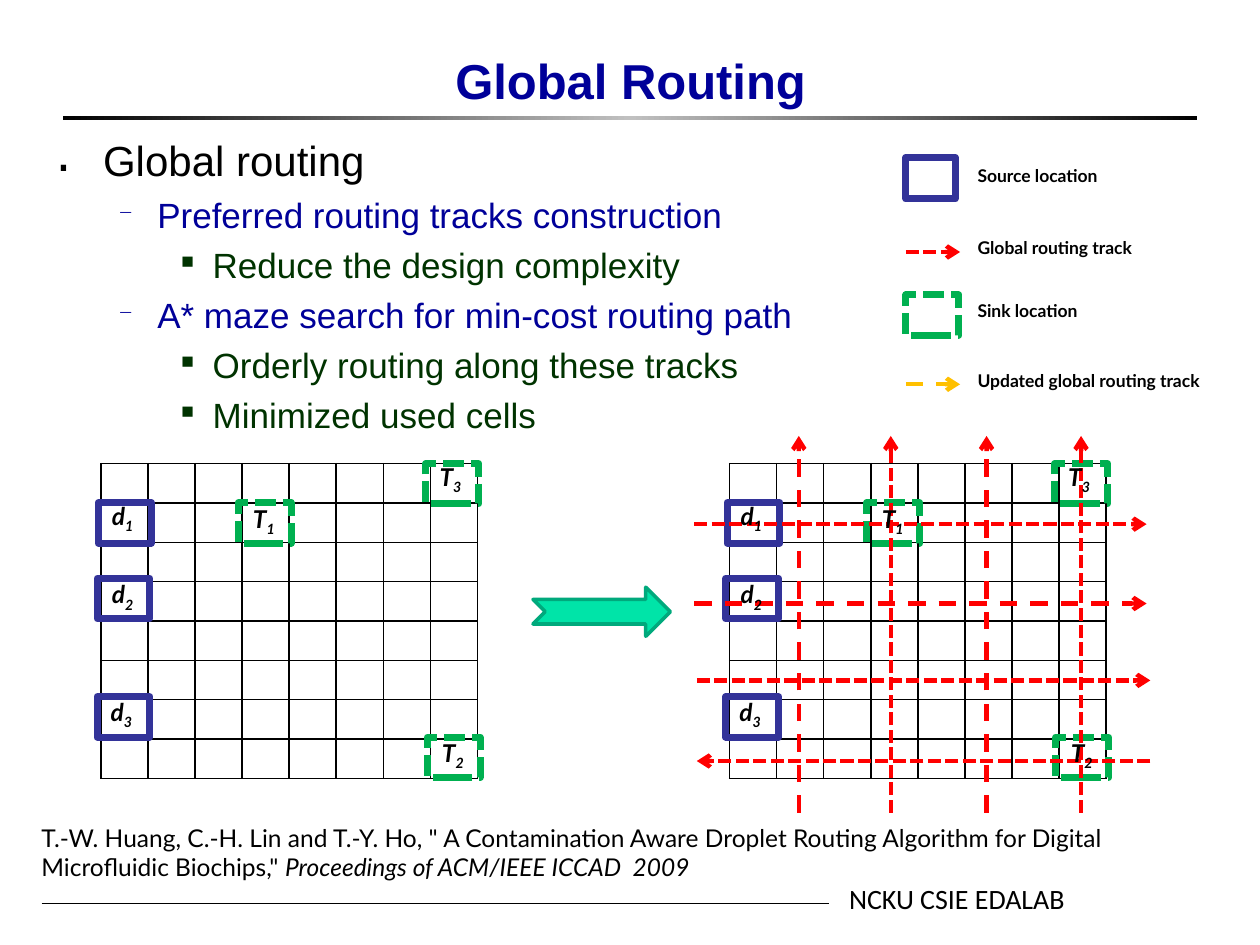
import copy

import lxml.etree
import pptx
import pptx.dml.color
import pptx.enum.dml
import pptx.enum.shapes
import pptx.enum.text
import pptx.oxml
import pptx.oxml.ns
import pptx.util

Inches = pptx.util.Inches
Pt = pptx.util.Pt
qn = pptx.oxml.ns.qn
color = pptx.dml.color.RGBColor.from_string
SHAPE = pptx.enum.shapes.MSO_SHAPE
DASH = pptx.enum.dml.MSO_LINE
ALIGN = pptx.enum.text.PP_ALIGN
STRAIGHT = pptx.enum.shapes.MSO_CONNECTOR.STRAIGHT

BLACK, WHITE, RED, AMBER = "000000", "FFFFFF", "FF0000", "FFC000"
BLUE, GREEN = "333399", "00B050"
TITLE_BLUE, DETAIL_GREEN = "000099", "003300"


def add_text(shapes, place, spans):
    """Add a wrapping text box with one paragraph; spans are (text, font values, subscript)."""
    box = shapes.add_textbox(*[Inches(value) for value in place])
    box.text_frame.word_wrap = True
    box.text_frame.auto_size = pptx.enum.text.MSO_AUTO_SIZE.SHAPE_TO_FIT_TEXT
    for text, values, subscript in spans:
        span = box.text_frame.paragraphs[0].add_run()
        span.text = text
        span.font.color.rgb = color(BLACK)
        for name, value in values.items():
            setattr(span.font, name, value)
        if subscript:
            span._r.get_or_add_rPr().set("baseline", "-25000")
    return box


def add_arrow(shapes, start, end, line_color, width, dash=None):
    """Add a straight line; dashed ones carry an arrowhead at their end."""
    line = shapes.add_connector(STRAIGHT, *[Inches(value) for value in start + end])
    line.line.color.rgb = color(line_color)
    line.line.width = Pt(width)
    if dash:
        line.line.dash_style = dash
        lxml.etree.SubElement(line.line._get_or_add_ln(), qn("a:tailEnd"), type="arrow")
    lxml.etree.SubElement(line._element.spPr, qn("a:effectLst"))


deck = pptx.Presentation()
deck.slide_width, deck.slide_height = Inches(10), Inches(7.5)
page = deck.slides.add_slide(deck.slide_layouts[6])

# Title rule and footer
rule = page.shapes.add_shape(SHAPE.RECTANGLE, Inches(0.5), Inches(0.92), Inches(9), Inches(0.03))
rule.shadow.inherit = False
rule.line.fill.background()
rule.fill.gradient()
rule.fill.gradient_angle = 0
stop_list = rule._element.spPr.find(qn("a:gradFill")).find(qn("a:gsLst"))
stop_list.insert(1, copy.deepcopy(stop_list[0]))
for stop, position, shade in zip(rule.fill.gradient_stops, (0, 0.5, 1), (BLACK, "C0C0C0", BLACK)):
    stop.position = position
    stop.color.rgb = color(shade)

add_arrow(page.shapes, (0.33, 7.17), (6.58, 7.17), BLACK, 0.5)
add_text(page.shapes, (6.64, 6.95, 2.19, 0.37),
         [("NCKU CSIE EDALAB", {"size": Pt(16), "name": "Calibri"}, False)])

# Title
title = add_text(page.shapes, (0.55, 0, 8.91, 0.92),
                 [("Global Routing", {"size": Pt(28), "name": "Arial", "bold": True}, False)])
title.text_frame.auto_size = pptx.enum.text.MSO_AUTO_SIZE.NONE
title.text_frame.vertical_anchor = pptx.enum.text.MSO_ANCHOR.BOTTOM
title.text_frame.paragraphs[0].alignment = ALIGN.CENTER
title.text_frame.paragraphs[0].runs[0].font.color.rgb = color(TITLE_BLUE)

# Outline: size, colour, left margin, hanging indent, bullet, bullet percent per level
levels = [
    (24, BLACK, 0.38, 0.38, "․", 120),
    (20, TITLE_BLUE, 0.81, 0.31, "─", 55),
    (20, DETAIL_GREEN, 1.25, 0.25, "■", 50),
]
outline = [
    (0, "Global routing"),
    (1, "Preferred routing tracks construction"),
    (2, "Reduce the design complexity"),
    (1, "A* maze search for min-cost routing path"),
    (2, "Orderly routing along these tracks"),
    (2, "Minimized used cells"),
]
body = page.shapes.add_textbox(Inches(0.34), Inches(1.02), Inches(6.54), Inches(5.81))
body.text_frame.word_wrap = True
for index, (level, text) in enumerate(outline):
    size, shade, margin, hanging, bullet, percent = levels[level]
    para = body.text_frame.add_paragraph() if index else body.text_frame.paragraphs[0]
    para.level = level
    para.alignment = ALIGN.JUSTIFY
    para.space_before = Pt(size * 0.23)
    span = para.add_run()
    span.text = text
    span.font.size, span.font.name = Pt(size), "Arial"
    span.font.color.rgb = color(shade)
    properties = para._p.get_or_add_pPr()
    properties.set("marL", str(Inches(margin)))
    properties.set("indent", str(-Inches(hanging)))
    bullet_color = lxml.etree.SubElement(properties, qn("a:buClr"))
    lxml.etree.SubElement(bullet_color, qn("a:srgbClr"), val=shade)
    lxml.etree.SubElement(properties, qn("a:buSzPct"), val=str(percent * 1000))
    lxml.etree.SubElement(properties, qn("a:buChar"), char=bullet)

# Routing grids, before and after the tracks are laid
GRID_SIZE = 8
grid_lefts = (0.8, 5.79)
shift = grid_lefts[1] - grid_lefts[0]
for left in grid_lefts:
    frame = page.shapes.add_table(GRID_SIZE, GRID_SIZE, Inches(left), Inches(3.68),
                                  Inches(2.99), Inches(2.5))
    grid = frame.table
    grid.first_row = grid.horz_banding = False
    for cell in grid.iter_cells():
        cell.margin_left = cell.margin_right = cell.margin_top = cell.margin_bottom = 0
        cell.fill.solid()
        cell.fill.fore_color.rgb = color(WHITE)
        lxml.etree.SubElement(cell.text_frame.paragraphs[0]._p, qn("a:endParaRPr"), sz="800")
        for order, side in enumerate(("lnL", "lnR", "lnT", "lnB")):
            border = lxml.etree.Element(qn("a:" + side), w=str(Pt(1)))
            fill = lxml.etree.SubElement(border, qn("a:solidFill"))
            lxml.etree.SubElement(fill, qn("a:srgbClr"), val=BLACK)
            cell._tc.get_or_add_tcPr().insert(order, border)

# Sources and sinks on both grids: letter, number, marker corner, label corner
pins = [
    ("T", "2", (3.39, 5.85), (3.41, 5.81)),
    ("T", "3", (3.38, 3.68), (3.39, 3.62)),
    ("d", "2", (0.77, 4.59), (0.79, 4.55)),
    ("d", "3", (0.77, 5.53), (0.78, 5.48)),
    ("d", "1", (0.78, 3.99), (0.79, 3.93)),
    ("T", "1", (1.89, 3.99), (1.91, 3.95)),
]
legend = page.shapes.add_group_shape().shapes
markers = [(page.shapes, letter, x + offset, y, 0.42, 0.32)
           for offset in (0, shift) for letter, number, (x, y), corner in pins]
markers += [(legend, "d", 7.19, 1.25, 0.39, 0.33), (legend, "T", 7.19, 2.34, 0.42, 0.32)]
for shapes, letter, *place in markers:
    marker = shapes.add_shape(SHAPE.RECTANGLE, *[Inches(value) for value in place])
    marker.shadow.inherit = False
    marker.fill.background()
    marker.line.width = Pt(4)
    marker.line.color.rgb = color(BLUE if letter == "d" else GREEN)
    if letter == "T":
        marker.line.dash_style = DASH.SQUARE_DOT
        marker.line._get_or_add_ln().find(qn("a:prstDash")).set("val", "sysDash")

# Global routing tracks
tracks = [
    ((5.51, 4.16), (9.1, 4.16), DASH.SQUARE_DOT),
    ((5.51, 4.79), (9.1, 4.79), DASH.DASH),
    ((5.53, 5.4), (9.13, 5.4), DASH.SQUARE_DOT),
    ((9.13, 6.04), (5.53, 6.04), DASH.SQUARE_DOT),
]
for x, dash in ((6.34, DASH.DASH), (7.07, DASH.SQUARE_DOT),
                (7.83, DASH.DASH), (8.58, DASH.SQUARE_DOT)):
    tracks.append(((x, 6.45), (x, 3.46), dash))
for start, end, dash in tracks:
    add_arrow(page.shapes, start, end, RED, 2.5, dash)
for dash in page.shapes._spTree.iter(qn("a:prstDash")):
    if dash.get("val") == "sysDot":
        dash.set("val", "sysDash")

pin_font = {"size": Pt(14), "name": "Lato", "bold": True, "italic": True}
for offset in (0, shift):
    for letter, number, corner, (x, y) in pins:
        add_text(page.shapes, (x + offset, y, 0.5, 0.34),
                 [(letter, pin_font, False), (number, pin_font, True)])

step = page.shapes.add_shape(SHAPE.NOTCHED_RIGHT_ARROW, Inches(4.23), Inches(4.66),
                             Inches(1.09), Inches(0.39))
step.shadow.inherit = False
step.fill.solid()
step.fill.fore_color.rgb = color("00E4A8")
step.line.color.rgb = color("00A97C")
step.line.width = Pt(2)

# Legend
add_arrow(legend, (7.19, 2), (7.62, 2), RED, 2.5, DASH.SQUARE_DOT)
add_arrow(legend, (7.19, 3.05), (7.62, 3.05), AMBER, 2.5, DASH.DASH)
legend_font = {"size": Pt(10), "name": "Lato", "bold": True}
for top, text in ((1.26, "Source location"), (1.83, "Global routing track"),
                  (2.33, "Sink location"), (2.89, "Updated global routing track")):
    add_text(legend, (7.66, top, 2.19, 0.27), [(text, legend_font, False)])

# Reference
reference_font = {"size": Pt(14), "name": "Lato"}
add_text(page.shapes, (0.23, 6.48, 8.67, 0.57), [
    ('T.-W. Huang, C.-H. Lin and T.-Y. Ho, " A Contamination Aware Droplet Routing Algorithm '
     'for Digital Microfluidic Biochips," ', reference_font, False),
    ("Proceedings of ACM/IEEE ICCAD  2009", {**reference_font, "italic": True}, False),
])

deck.save("out.pptx")
